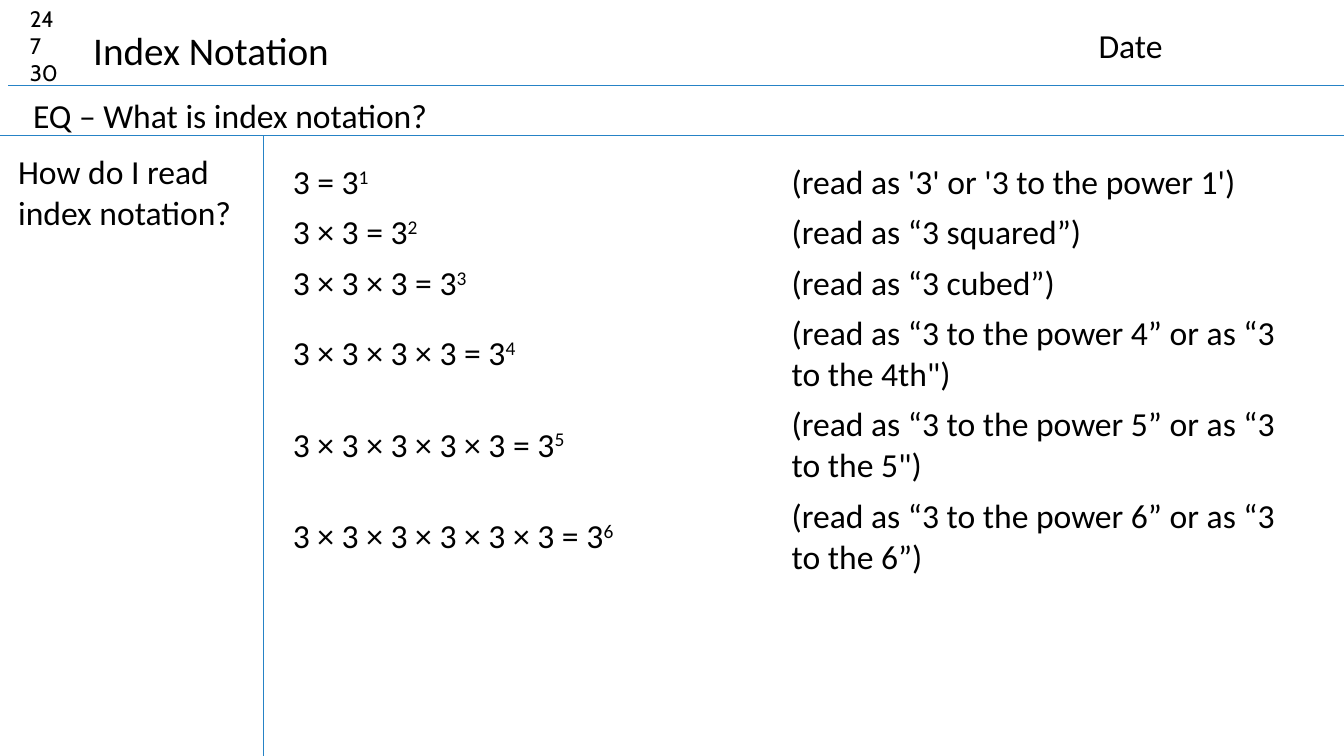
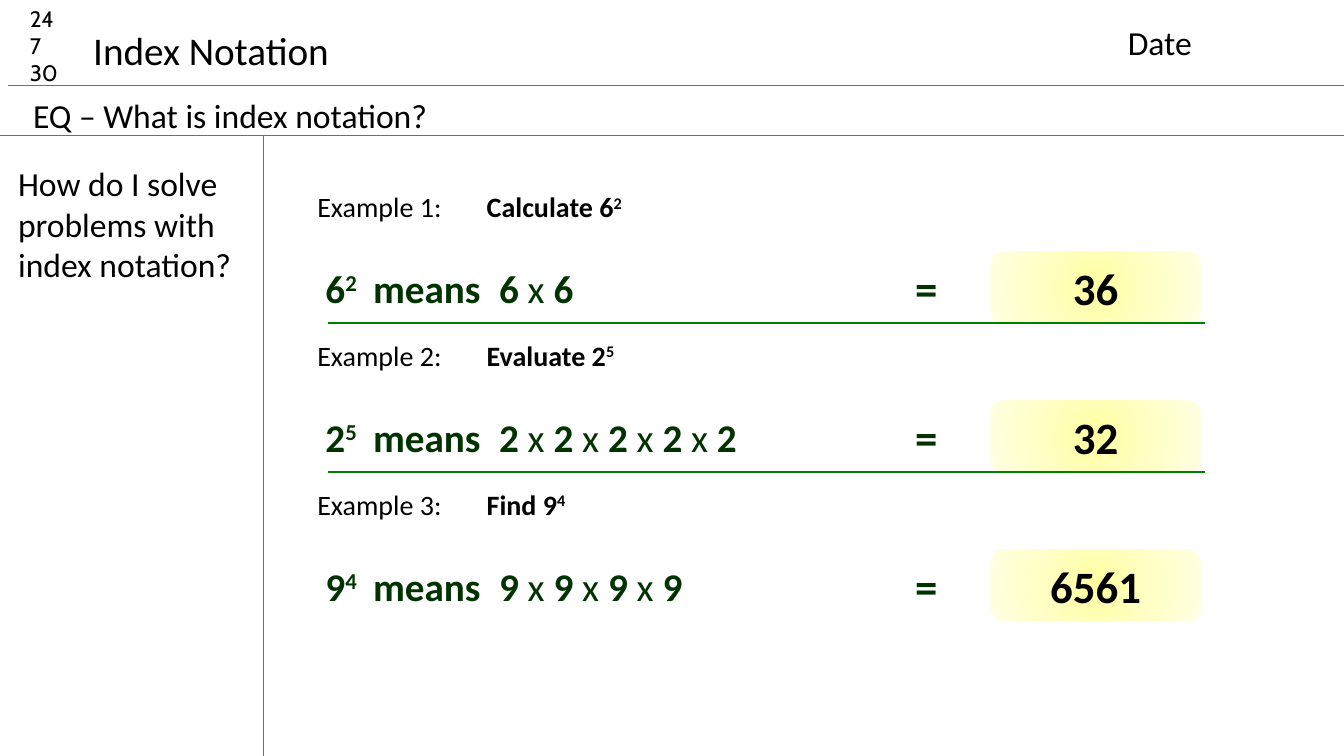
from lxml import etree
from pptx import Presentation
from pptx.dml.color import RGBColor
from pptx.enum.shapes import MSO_CONNECTOR, MSO_SHAPE
from pptx.enum.text import MSO_ANCHOR, PP_ALIGN
from pptx.oxml import parse_xml
from pptx.oxml.ns import nsdecls, qn
from pptx.util import Pt

STRAIGHT = MSO_CONNECTOR.STRAIGHT
ROUNDED = MSO_SHAPE.ROUNDED_RECTANGLE
MIDDLE = MSO_ANCHOR.MIDDLE
LEFT, CENTER = PP_ALIGN.LEFT, PP_ALIGN.CENTER

BLACK = RGBColor(0x00, 0x00, 0x00)
BLUE = RGBColor(0x26, 0x83, 0xC6)
GREEN = RGBColor(0x00, 0x80, 0x00)
DARK_GREEN = RGBColor(0x00, 0x33, 0x00)
GLOW = [(0, RGBColor(0xFF, 0xFF, 0xA0)), (50, RGBColor(0xFF, 0xFF, 0xC5)),
        (100, RGBColor(0xFF, 0xFF, 0xE3))]
BODY_FONT, NUMBER_FONT = "Calibri", "Cabin"

WIDTH, HEIGHT = 960, 540
TITLE = "Index Notation"
ESSENTIAL_QUESTION = "EQ – What is index notation?"
PAGE_NUMBERS = ["24", "7", "30"]
TITLE_RULE, QUESTION_RULE, MARGIN_RULE = 61.2, 96.5, 188

READINGS = [  # reading, row height
    ("(read as '3' or '3 to the power 1')", 36),
    ("(read as “3 squared”)", 36),
    ("(read as “3 cubed”)", 36),
    ("(read as “3 to the power 4” or as “3 to the 4th\")", 65.2),
    ("(read as “3 to the power 5” or as “3 to the 5\")", 65.2),
    ("(read as “3 to the power 6” or as “3 to the 6”)", 65.2),
]
EXAMPLES = [("Calculate", 6, 2), ("Evaluate", 2, 5), ("Find", 9, 4)]
EXAMPLE_TOP, EXAMPLE_STEP = 131.8, 106.3


def add_runs(paragraph, pieces, size, color=BLACK, font=BODY_FONT):
    """Append (text, bold, raised) pieces as formatted runs."""
    for text, bold, raised in pieces:
        run = paragraph.add_run()
        run.text = text
        run.font.name, run.font.size = font, Pt(size)
        run.font.bold = bold
        run.font.color.rgb = color
        if raised:
            run._r.get_or_add_rPr().set("baseline", "30000")


def plain(text, bold=False):
    return [(text, bold, False)]


def add_text(slide, box, lines, size, color=BLACK, font=BODY_FONT,
             align=LEFT, wrap=True, tabs=()):
    """Add a text box; each line is a list of run pieces."""
    frame = slide.shapes.add_textbox(*map(Pt, box)).text_frame
    frame.word_wrap = wrap
    for index, pieces in enumerate(lines):
        paragraph = frame.add_paragraph() if index else frame.paragraphs[0]
        paragraph.alignment = align
        if tabs:
            tab_list = etree.SubElement(paragraph._p.get_or_add_pPr(), qn("a:tabLst"))
            for position in tabs:
                etree.SubElement(tab_list, qn("a:tab"), pos=str(Pt(position)), algn="l")
        add_runs(paragraph, pieces, size, color, font)


def add_rule(slide, x1, y1, x2, y2, color=BLUE, weight=0.75):
    rule = slide.shapes.add_connector(STRAIGHT, Pt(x1), Pt(y1), Pt(x2), Pt(y2))
    rule.line.color.rgb = color
    rule.line.width = Pt(weight)
    etree.SubElement(rule._element.spPr, qn("a:effectLst"))


def add_notes_page(deck, side_question, side_top, side_height, date_left, date_top):
    """Add a slide with the shared header, rules and margin question."""
    slide = deck.slides.add_slide(deck.slide_layouts[6])
    add_rule(slide, 6, TITLE_RULE, WIDTH, TITLE_RULE)
    add_rule(slide, 0, QUESTION_RULE, WIDTH, QUESTION_RULE)
    add_rule(slide, MARGIN_RULE, QUESTION_RULE, MARGIN_RULE, HEIGHT)
    add_text(slide, (14.2, 0, 45, 65.5), [plain(n) for n in PAGE_NUMBERS], 16,
             font=NUMBER_FONT)
    add_text(slide, (date_left, date_top, 124.6, 36), [plain("Date")], 24)
    add_text(slide, (59.5, 15.2, 185, 41), [plain(TITLE)], 28, wrap=False)
    add_text(slide, (16.5, 64.4, 818, 36), [plain(ESSENTIAL_QUESTION)], 24)
    add_text(slide, (5.8, side_top, 167, side_height), [plain(side_question)], 24)
    return slide


def add_readings(slide):
    table = slide.shapes.add_table(
        len(READINGS), 2, Pt(205.5), Pt(112.4), Pt(712.8),
        Pt(sum(height for _, height in READINGS))).table
    table.first_row = table.horz_banding = False
    for column in table.columns:
        column.width = Pt(356.4)
    for power, (reading, height) in enumerate(READINGS, 1):
        row = table.rows[power - 1]
        row.height = Pt(height)
        product = " × ".join(["3"] * power) + " = 3"
        notation = [(product, False, False), (str(power), False, True)]
        for cell, pieces in zip(row.cells, (notation, plain(reading))):
            cell.fill.background()
            cell.vertical_anchor = MIDDLE
            cell.margin_left = cell.margin_right = Pt(3.6)
            cell.margin_top = cell.margin_bottom = Pt(3.6)
            add_runs(cell.text_frame.paragraphs[0], pieces, 24)


def add_answer(slide, top, answer):
    panel = slide.shapes.add_shape(ROUNDED, Pt(707.4), Pt(top), Pt(150.5), Pt(51.1))
    panel.shadow.inherit = False
    panel.line.fill.background()
    stops = "".join(f'<a:gs pos="{pos * 1000}"><a:srgbClr val="{color}"/></a:gs>'
                    for pos, color in GLOW)
    panel._element.spPr.find(qn("a:prstGeom")).addnext(parse_xml(
        f'<a:gradFill {nsdecls("a")}><a:gsLst>{stops}</a:gsLst><a:path path="circle">'
        '<a:fillToRect l="50000" t="50000" r="50000" b="50000"/></a:path></a:gradFill>'))
    panel.text_frame.vertical_anchor = MIDDLE
    paragraph = panel.text_frame.paragraphs[0]
    paragraph.alignment = CENTER
    add_runs(paragraph, plain(str(answer), True), 32)


def add_example(slide, number, top, verb, base, power):
    task = [(f"Example {number}:\t", False, False), (f"{verb} {base}", True, False),
            (str(power), True, True)]
    add_text(slide, (219.6, top, 357, 31.7), [task], 20, tabs=[121])

    meaning = [(str(base), True, False), (str(power), True, True),
               (f"\tmeans\t{base}", True, False)]
    for _ in range(power - 1):
        meaning += [(" x", False, False), (f" {base}", True, False)]
    add_text(slide, (225.4, top + 53.4, 351, 41), [meaning], 28, DARK_GREEN,
             tabs=[34, 124])

    add_text(slide, (625, top + 51.1, 73.4, 46), [plain("=", True)], 32, DARK_GREEN,
             align=CENTER)
    add_answer(slide, top + 48, base ** power)


def main():
    deck = Presentation()
    deck.slide_width, deck.slide_height = Pt(WIDTH), Pt(HEIGHT)

    add_readings(add_notes_page(deck, "How do I read index notation?",
                                104.4, 65.5, 777.6, 14.4))

    solving = add_notes_page(deck, "How do I solve problems with index notation?",
                             113, 124, 798.5, 12.2)
    for number, example in enumerate(EXAMPLES, 1):
        top = EXAMPLE_TOP + (number - 1) * EXAMPLE_STEP
        add_example(solving, number, top, *example)
        if number < len(EXAMPLES):
            add_rule(solving, 234, top + 99, 860.4, top + 99, GREEN, 1)

    deck.save("out.pptx")


if __name__ == "__main__":
    main()
